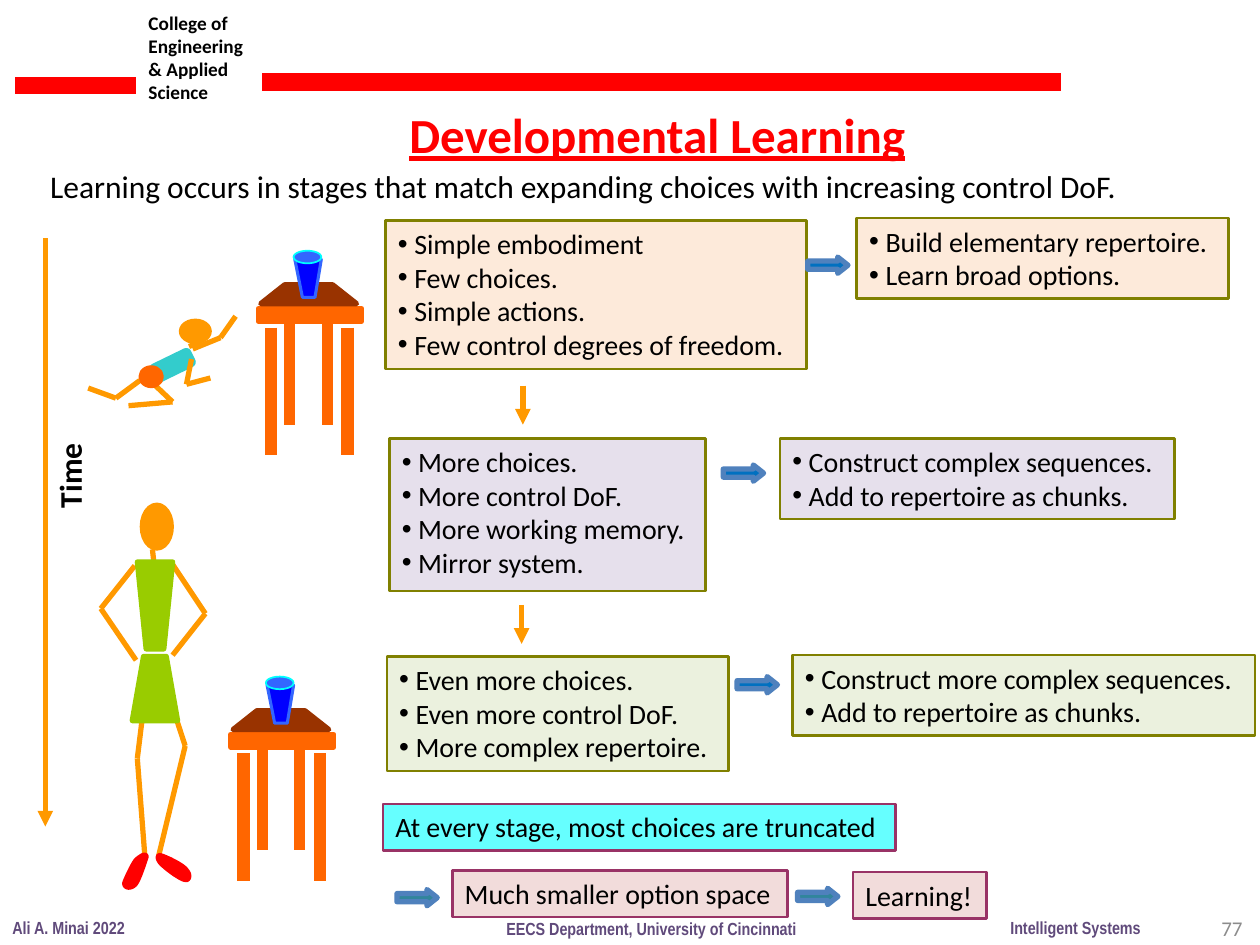
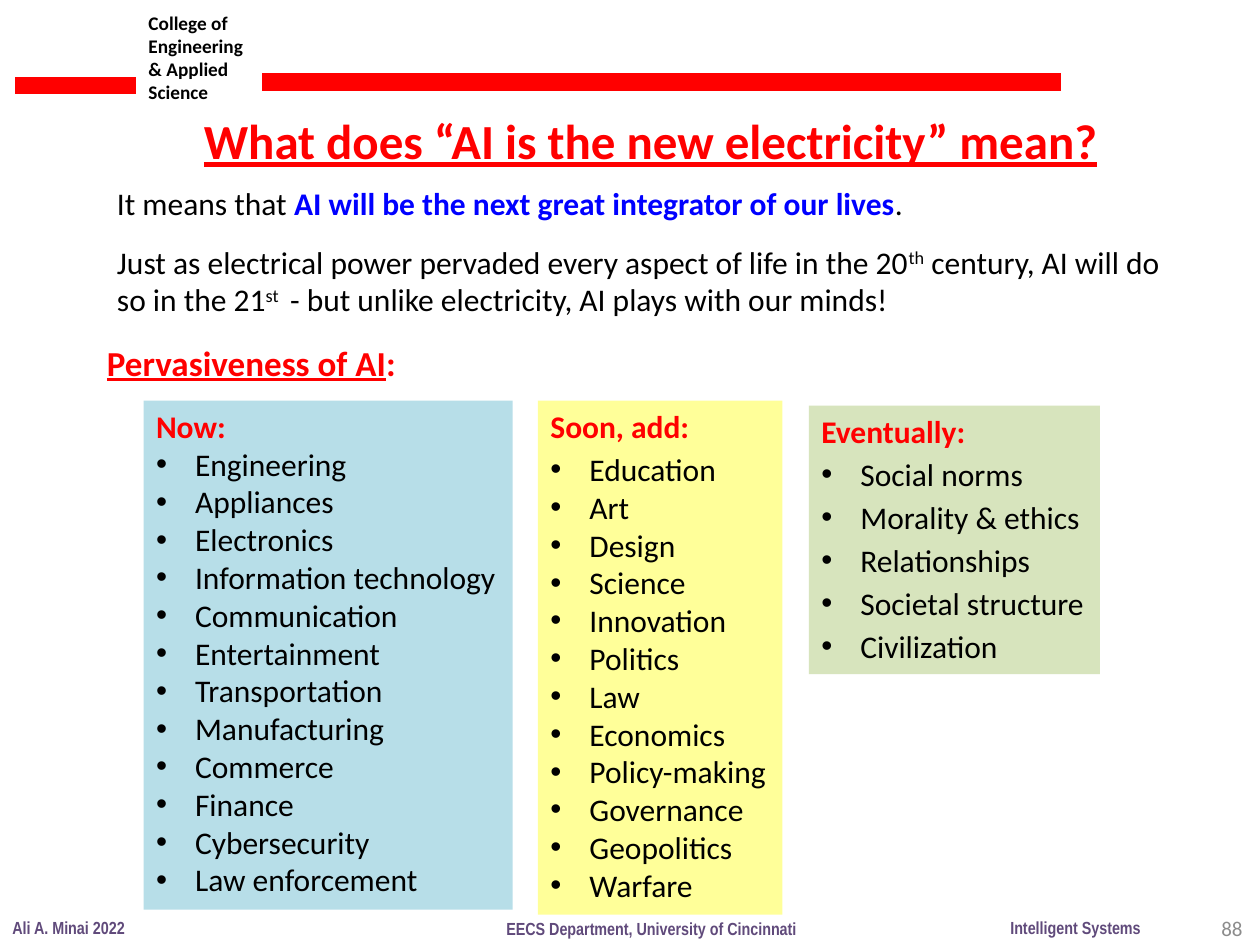
"""Builds two lecture slides: developmental learning, and AI as the new electricity."""
from lxml import etree
from pptx import Presentation
from pptx.dml.color import RGBColor
from pptx.enum.shapes import MSO_CONNECTOR, MSO_SHAPE
from pptx.enum.text import MSO_AUTO_SIZE, PP_ALIGN
from pptx.oxml.ns import qn
from pptx.util import Inches, Pt

STRAIGHT = MSO_CONNECTOR.STRAIGHT
RECT = MSO_SHAPE.RECTANGLE
OVAL = MSO_SHAPE.OVAL
ROUNDED = MSO_SHAPE.ROUNDED_RECTANGLE
ARROW = MSO_SHAPE.RIGHT_ARROW
GROW = MSO_AUTO_SIZE.SHAPE_TO_FIT_TEXT
RIGHT = PP_ALIGN.RIGHT

COLORS = {
    "red": "FF0000", "black": "000000", "blue": "0000FF", "gray": "8C8C8C",
    "purple": "604A7B", "skin": "FF9900", "wood": "FF6600", "top": "993300",
    "glass": "3366FF", "rim": "00FFFF", "dress": "99CC00", "shirt": "33CCCC",
    "olive": "808000", "plum": "993366", "peach": "FDEADA", "lilac": "E6E0EC",
    "mint": "EBF1DE", "cyan": "66FFFF", "rose": "F2DCDB", "arrow": "0070C0",
    "teal": "31859C", "arrow edge": "4F81BD", "sky": "B7DEE8",
    "yellow": "FFFF99", "sage": "D7E4BD",
}
COLORS = {name: RGBColor.from_string(value) for name, value in COLORS.items()}


def put_text(page, at, lines, size, color="black", bold=False, font="Calibri",
             wrap=False, fill=None, edge=None, indent=0, bullets_from=0):
    box = page.shapes.add_textbox(*map(Inches, at))
    frame = box.text_frame
    frame.word_wrap = wrap
    frame.auto_size = GROW
    if fill:
        box.fill.solid()
        box.fill.fore_color.rgb = COLORS[fill]
    if edge:
        box.line.color.rgb = COLORS[edge]
        box.line.width = Pt(1.5)
    for index, line in enumerate(lines):
        para = frame.add_paragraph() if index else frame.paragraphs[0]
        for piece in [line] if isinstance(line, str) else line:
            para.add_run().text = piece
        if indent and index >= bullets_from:
            properties = para._p.get_or_add_pPr()
            properties.set("marL", str(Inches(indent)))
            properties.set("indent", str(-Inches(indent)))
            etree.SubElement(properties, qn("a:buFont")).set("typeface", "Arial")
            etree.SubElement(properties, qn("a:buChar")).set("char", "•")
        for span in para.runs:
            span.font.name = font
            span.font.size = Pt(size)
            span.font.bold = bold
            span.font.color.rgb = COLORS[color]
    return box


def draw(page, kind, at, edge, width=3, fill=None, arrowhead=False):
    if kind == "line":
        part = page.shapes.add_connector(STRAIGHT, *map(Inches, at))
        etree.SubElement(part._element.spPr, qn("a:effectLst"))
    else:
        if kind == "outline":
            points = [(Inches(x), Inches(y)) for x, y in at]
            builder = page.shapes.build_freeform(*points[0])
            builder.add_line_segments(points[1:], close=True)
            part = builder.convert_to_shape()
        else:
            part = page.shapes.add_shape(kind, *map(Inches, at))
        part.shadow.inherit = False
        part.fill.solid()
        part.fill.fore_color.rgb = COLORS[fill or edge]
    part.line.color.rgb = COLORS[edge]
    part.line.width = Pt(width)
    if arrowhead:
        etree.SubElement(part.line._get_or_add_ln(), qn("a:tailEnd")).set("type", "triangle")
    return part


deck = Presentation()
deck.slide_width = Inches(10)
deck.slide_height = Inches(7.5)

FOOTERS = [
    (0, 7.23, 1.1, "Ali A. Minai 2022"),
    (7.92, 7.23, 1.24, "Intelligent Systems"),
    (3.92, 7.24, 2.52, "EECS Department, University of Cincinnati"),
]
TITLES = [
    ("77", (3.15, 0.78, 4.18, 0.57), "Developmental Learning"),
    ("88", (1.52, 0.83, 7.38, 0.57), "What does “AI is the new electricity” mean?"),
]
pages = []
for number, title_at, title in TITLES:
    page = deck.slides.add_slide(deck.slide_layouts[6])
    pages.append(page)
    put_text(page, (1.08, 0.04, 1.09, 0.84),
             ["College of Engineering & Applied", "Science"], 11, bold=True, wrap=True)
    for band in [(0.12, 0.68, 1.08, 0.68), (2.08, 0.65, 8.42, 0.65)]:
        draw(page, "line", band, "red", 10)
    number_box = put_text(page, (7.63, 7.22, 2.33, 0.3), [number], 12, "gray", wrap=True)
    number_box.text_frame.paragraphs[0].alignment = RIGHT
    for left, top, width, text in FOOTERS:
        put_text(page, (left, top, width, 0.27), [text], 10, "purple", True, "Arial Narrow")
    heading = put_text(page, title_at, [title], 28, "red", True)
    heading.text_frame.paragraphs[0].runs[0].font.underline = True

learning, electricity = pages

put_text(learning, (0.3, 1.28, 9.64, 0.43),
         ["Learning occurs in stages that match expanding choices with increasing control DoF."], 18)

LIMBS = [
    [(1.21, 4.36), (1.22, 4.45)],
    [(1.07, 4.49), (0.8, 4.83), (1.08, 5.24)],
    [(1.37, 4.48), (1.63, 4.87), (1.37, 5.2)],
    [(1.17, 5.37), (1.09, 6.02), (1.15, 6.8)],
    [(1.29, 5.37), (1.47, 5.92), (1.26, 6.79)],
    [(1.6, 2.71), (1.5, 2.75)],
    [(1.53, 2.77), (1.75, 2.68), (1.87, 2.51)],
    [(1.17, 3), (1.37, 3.19), (1.02, 3.22)],
    [(1.11, 3.02), (0.92, 3.16), (0.7, 3.08)],
    [(1.52, 2.85), (1.48, 3.05), (1.67, 3)],
]
torso = draw(learning, ROUNDED, (1.21, 2.84, 0.32, 0.12), "shirt")
torso.adjustments[0] = 0.17
torso.rotation = 334
for limb in LIMBS:
    for start, end in zip(limb, limb[1:]):
        draw(learning, "line", (*start, *end), "skin")
for head in [(1.13, 4.01, 0.23, 0.34), (1.44, 2.55, 0.22, 0.16)]:
    draw(learning, OVAL, head, "skin")
draw(learning, OVAL, (1.12, 2.92, 0.16, 0.14), "wood")
for garment in [
    [(1.09, 4.46), (1.16, 5.15), (1.3, 5.15), (1.37, 4.46)],
    [(1.05, 5.72), (1.14, 5.21), (1.32, 5.21), (1.41, 5.72)],
]:
    draw(learning, "outline", garment, "dress")

SHOES = [
    [(1.27, 6.79), (1.24, 6.79), (1.26, 6.84), (1.3, 6.87), (1.33, 6.9), (1.44, 6.98),
     (1.47, 6.98), (1.5, 6.99), (1.51, 6.94), (1.48, 6.91), (1.46, 6.87), (1.31, 6.8),
     (1.27, 6.79)],
    [(1.16, 6.8), (1.16, 6.77), (1.11, 6.8), (1.08, 6.83), (1.05, 6.87), (1, 6.98),
     (0.99, 7.01), (0.99, 7.05), (1.04, 7.05), (1.07, 7.02), (1.1, 6.99), (1.15, 6.83),
     (1.16, 6.8)],
]
STEPS = 8
for shoe in SHOES:
    outline = []
    for first in range(0, len(shoe) - 1, 3):
        for step in range(STEPS):
            t = step / STEPS
            weights = [(1 - t) ** 3, 3 * t * (1 - t) ** 2, 3 * t * t * (1 - t), t ** 3]
            curve = list(zip(weights, shoe[first:first + 4]))
            outline.append((sum(w * p[0] for w, p in curve), sum(w * p[1] for w, p in curve)))
    draw(learning, "outline", outline, "red")

TABLE_LEGS = [(0.55, 0.1, 6.25), (0.25, 0.1, 6.25), (0.1, 0.34, 7.25), (0.71, 0.34, 7.25)]
for left, top in [(2.05, 2.26), (1.83, 5.64)]:
    for index, (x, y, width) in enumerate(TABLE_LEGS):
        if index == 2:
            draw(learning, RECT, (left, top + 0.19, 0.82, 0.1), "wood")
        draw(learning, "line", (left + x, top + y, left + x, top + y + 1.01), "wood", width)
    table_top = [(0.02, 0.15), (0.21, 0), (0.59, 0), (0.78, 0.15)]
    draw(learning, "outline", [(left + x, top + y) for x, y in table_top], "top")
    cup = [(0.29, -0.2), (0.35, 0.1), (0.45, 0.1), (0.5, -0.2)]
    draw(learning, "outline", [(left + x, top + y) for x, y in cup], "glass", 1.75, "blue")
    draw(learning, OVAL, (left + 0.28, top - 0.27, 0.22, 0.1), "rim", 1, "glass")

STAGES = [
    ("peach", (3.06, 1.75, 3.34, 1.18),
     ["Simple embodiment", "Few choices.", "Simple actions.", "Few control degrees of freedom."]),
    ("peach", (6.8, 1.73, 2.95, 0.64), ["Build elementary repertoire.", "Learn broad options."]),
    ("lilac", (3.09, 3.48, 2.51, 1.21),
     ["More choices.", "More control DoF.", "More working memory.", "Mirror system."]),
    ("lilac", (6.19, 3.48, 3.13, 0.64),
     ["Construct complex sequences.", "Add to repertoire as chunks."]),
    ("mint", (3.07, 5.21, 2.71, 0.91),
     ["Even more choices.", "Even more control DoF.", "More complex repertoire."]),
    ("mint", (6.29, 5.2, 3.67, 0.64),
     ["Construct more complex sequences.", "Add to repertoire as chunks."]),
]
for fill, at, lines in STAGES:
    put_text(learning, at, lines, 16, fill=fill, edge="olive", indent=0.13)

CONCLUSIONS = [
    ("cyan", (3.04, 6.38, 4.07, 0.37), "At every stage, most choices are truncated"),
    ("rose", (3.59, 6.91, 2.66, 0.37), "Much smaller option space"),
    ("rose", (6.77, 6.92, 1.06, 0.37), "Learning!"),
]
for fill, at, text in CONCLUSIONS:
    put_text(learning, at, [text], 16, fill=fill, edge="plum")

for left, top, fill in [(6.41, 2.04, "arrow"), (5.74, 3.69, "arrow"), (5.85, 5.37, "arrow"),
                        (3.15, 7.06, "teal"), (6.33, 7.05, "teal")]:
    arrow = draw(learning, ARROW, (left, top, 0.32, 0.13), "arrow edge", 3, fill)
    arrow.adjustments[1] = 0.63

for x, top, bottom in [(0.36, 1.89, 6.56), (4.15, 3.06, 3.37), (4.14, 4.8, 5.11)]:
    draw(learning, "line", (x, top, x, bottom), "skin", arrowhead=True)
time_label = put_text(learning, (0.19, 3.57, 0.72, 0.4), ["Time"], 18, bold=True)
time_label.rotation = 270

meaning = put_text(electricity, (0.83, 1.41, 8.75, 1.18), [
    ["It means that ", "AI will be the next great integrator of our lives", "."],
    ["Just as electrical power pervaded every aspect of life in the 20", "th",
     " century, AI will do so in the 21", "st ",
     " - but unlike electricity, AI plays with our minds!"],
], 18, wrap=True)
claim, comparison = meaning.text_frame.paragraphs
claim.runs[1].font.bold = True
claim.runs[1].font.color.rgb = COLORS["blue"]
comparison.space_before = Pt(12)
for ordinal in comparison.runs[1::2]:
    ordinal._r.get_or_add_rPr().set("baseline", "30000")

subtitle = put_text(electricity, (0.75, 2.66, 2.52, 0.44),
                    [["Pervasiveness of AI", ":"]], 20, "red", True)
subtitle.text_frame.paragraphs[0].runs[0].font.underline = True

ERAS = [
    ("sky", (1.14, 3.18, 2.93, 4.04), 0,
     ["Now:", "Engineering", "Appliances", "Electronics", "Information technology",
      "Communication", "Entertainment", "Transportation", "Manufacturing", "Commerce",
      "Finance", "Cybersecurity", "Law enforcement"]),
    ("yellow", (4.27, 3.18, 1.94, 4.08), 1,
     ["Soon, add:", "Education", "Art", "Design", "Science", "Innovation", "Politics", "Law",
      "Economics", "Policy-making", "Governance", "Geopolitics", "Warfare"]),
    ("sage", (6.42, 3.22, 2.31, 2.13), 5,
     ["Eventually:", "Social norms", "Morality & ethics", "Relationships",
      "Societal structure", "Civilization"]),
]
for fill, at, spaced, lines in ERAS:
    era = put_text(electricity, at, lines, 18, fill=fill, indent=0.31, bullets_from=1)
    paras = era.text_frame.paragraphs
    paras[0].runs[0].font.bold = True
    paras[0].runs[0].font.color.rgb = COLORS["red"]
    for para in paras[1:spaced + 1]:
        para.space_before = Pt(3)

deck.save("out.pptx")
